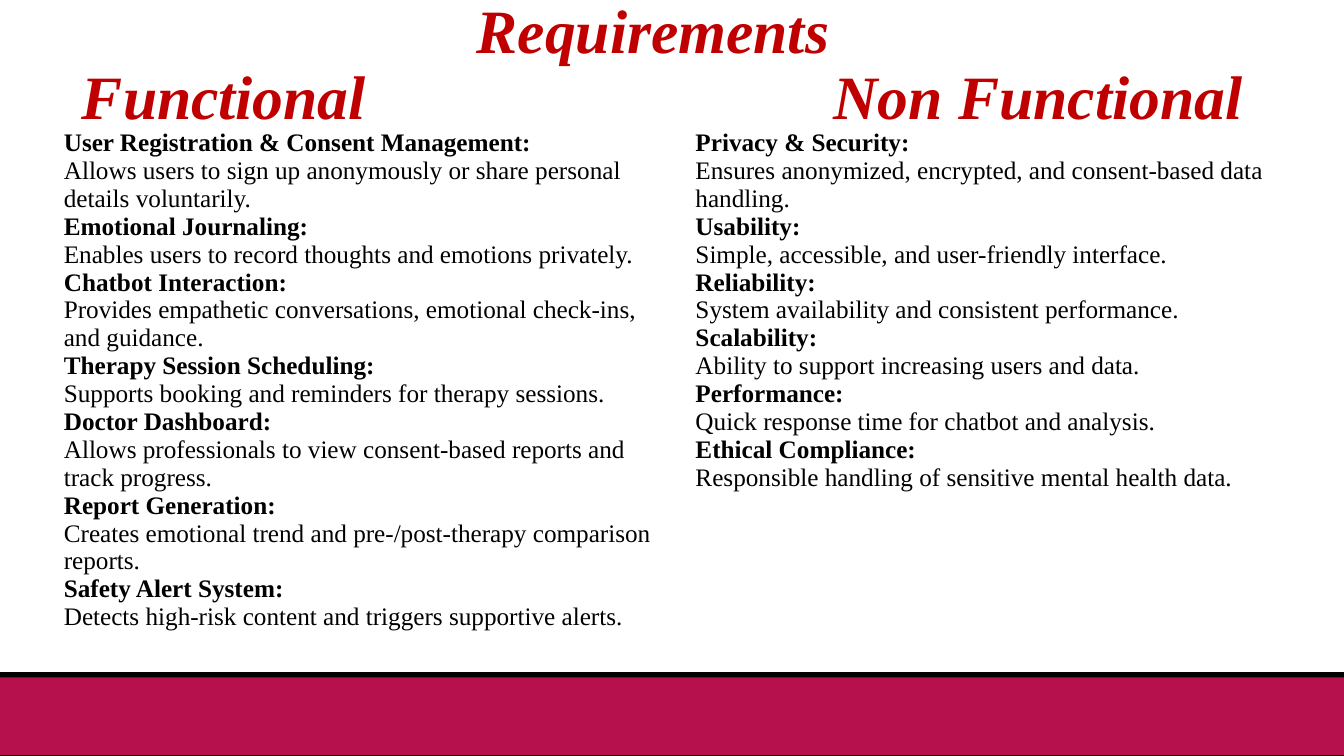
from pptx import Presentation
from pptx.dml.color import RGBColor as Rgb
from pptx.enum.shapes import MSO_SHAPE as Kind
from pptx.enum.text import PP_ALIGN as Align
from pptx.util import Inches, Pt

WIDE, HIGH = Inches(13.33), Inches(7.5)
FONT = "Times New Roman"
PLAIN = "{2D5ABB26-0587-4C30-8999-92F81FD0307C}"
HUES = {"ink": "000000", "head": "C00000", "band": "B6114D"}

NEEDS = [
    [
        ("User Registration & Consent Management:",
         "Allows users to sign up anonymously or share personal details voluntarily."),
        ("Emotional Journaling:",
         "Enables users to record thoughts and emotions privately."),
        ("Chatbot Interaction:",
         "Provides empathetic conversations, emotional check-ins, and guidance."),
        ("Therapy Session Scheduling:",
         "Supports booking and reminders for therapy sessions."),
        ("Doctor Dashboard:",
         "Allows professionals to view consent-based reports and track progress."),
        ("Report Generation:",
         "Creates emotional trend and pre-/post-therapy comparison reports."),
        ("Safety Alert System:",
         "Detects high-risk content and triggers supportive alerts."),
    ],
    [
        ("Privacy & Security:",
         "Ensures anonymized, encrypted, and consent-based data handling."),
        ("Usability:", "Simple, accessible, and user-friendly interface."),
        ("Reliability:", "System availability and consistent performance."),
        ("Scalability:", "Ability to support increasing users and data."),
        ("Performance:", "Quick response time for chatbot and analysis."),
        ("Ethical Compliance:",
         "Responsible handling of sensitive mental health data."),
    ],
]


def col(share):
    return int(WIDE * share / 100)


def row(share):
    return int(HIGH * share / 100)


def area(left, top, width, height):
    return col(left), row(top), col(width), row(height)


def write(para, text, size=18, hue="ink", bold=False, slant=False):
    run = para.add_run()
    run.text = text
    font = run.font
    font.name, font.size = FONT, Pt(size)
    font.bold, font.italic = bold, slant
    font.color.rgb = Rgb.from_string(HUES[hue])


def band(slide, top, height, hue):
    bar = slide.shapes.add_shape(Kind.RECTANGLE, *area(0, top, 100, height))
    bar.shadow.inherit = False
    bar.fill.solid()
    bar.fill.fore_color.rgb = Rgb.from_string(HUES[hue])
    bar.line.fill.background()


def title(slide, text, spot, align=Align.LEFT):
    frame = slide.shapes.add_textbox(*area(*spot)).text_frame
    frame.word_wrap = True
    frame.margin_left = frame.margin_right = 0
    frame.margin_top = frame.margin_bottom = 0
    para = frame.paragraphs[0]
    para.alignment, para.line_spacing = align, 0.9
    write(para, text, size=44, hue="head", bold=True, slant=True)


def fill(cell, items):
    frame = cell.text_frame
    for index, (name, note) in enumerate(items):
        para = frame.add_paragraph() if index else frame.paragraphs[0]
        write(para, name, bold=True)
        para.add_line_break()
        write(para, note)


def grid(slide, lists):
    table = slide.shapes.add_table(2, 2, *area(4, 16.4, 94, 73.8)).table
    table.first_row = table.horz_banding = False
    table._tbl.tblPr[0].text = PLAIN
    for line, share in zip(table.rows, (61.5, 12.3)):
        line.height = row(share)
    for cell in table.iter_cells():
        cell.fill.background()
    for index, items in enumerate(lists):
        fill(table.cell(0, index), items)


def main():
    deck = Presentation()
    deck.slide_width, deck.slide_height = WIDE, HIGH
    slide = deck.slides.add_slide(deck.slide_layouts[6])
    band(slide, 88.9, 11.1, "ink")
    band(slide, 89.6, 10.25, "band")
    title(slide, "Requirements", (0, 0, 97.2, 8.5), Align.CENTER)
    title(slide, "Functional", (6.1, 8.8, 30, 8.5))
    title(slide, "Non Functional", (62, 8.8, 36, 8.5))
    grid(slide, NEEDS)
    deck.save("out.pptx")


if __name__ == "__main__":
    main()
